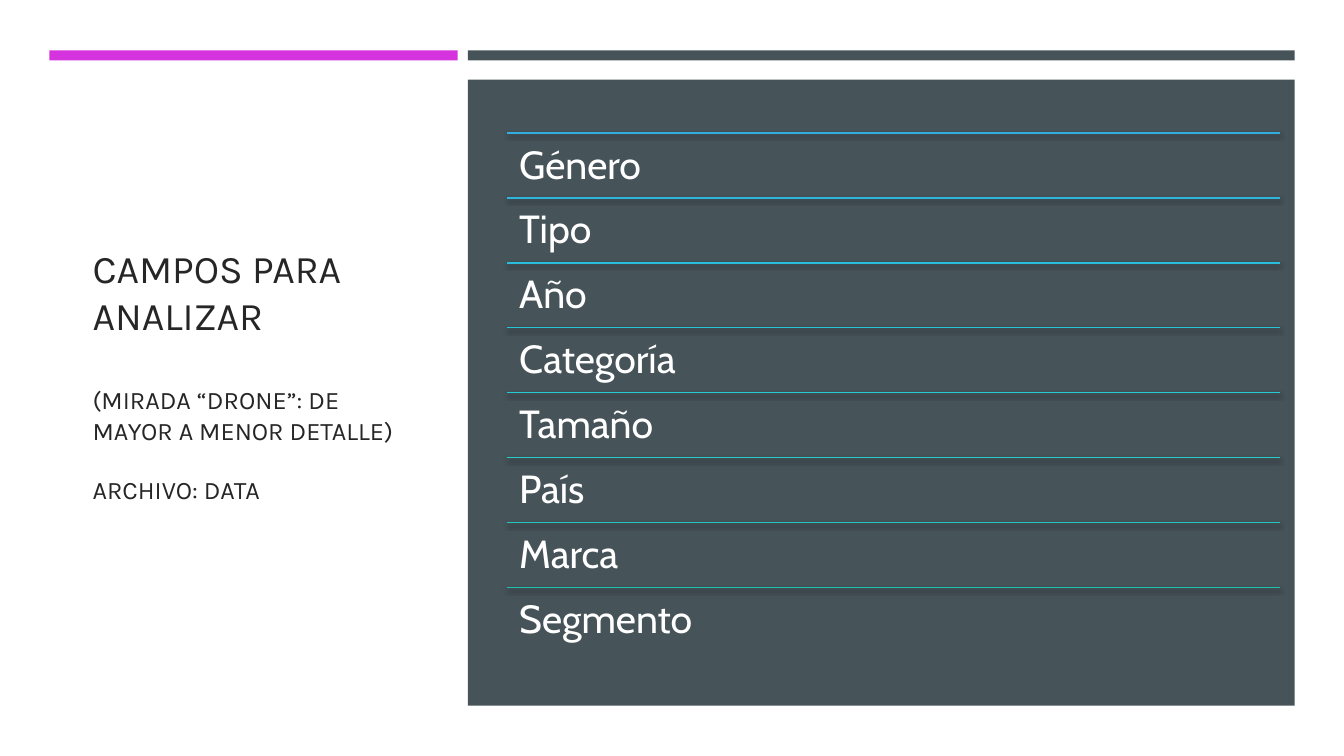
from lxml.etree import SubElement
from pptx import Presentation
from pptx.dml.color import RGBColor
from pptx.enum.shapes import MSO_CONNECTOR as Connector, MSO_SHAPE as Shape
from pptx.enum.text import MSO_ANCHOR as Anchor
from pptx.oxml.ns import qn
from pptx.util import Inches, Pt

WHITE, SLATE, MAGENTA, INK = "FFFFFF", "465359", "D433DD", "262626"
FIELDS = [
    ("Género", "33ADDD"),
    ("Tipo", "2DB5DC"),
    ("Año", "28BEDB"),
    ("Categoría", "24C6D8"),
    ("Tamaño", "23CBD3"),
    ("País", "22CDCA"),
    ("Marca", "21C8BB"),
    ("Segmento", "20C2AC"),
]
TITLE = [
    ("CAMPOS PARA ANALIZAR", 28, 0),
    ("(MIRADA “DRONE”: DE MAYOR A MENOR DETALLE)", 18, 33),
    ("ARCHIVO: DATA", 18, 21),
]
LIST_LEFT, LIST_TOP, LIST_WIDTH = 5.03, 1.32, 7.67
ROW_HEIGHT = 0.644


def rgb(color):
    return RGBColor.from_string(color)


def add_panel(slide, left, top, width, height, color):
    panel = slide.shapes.add_shape(
        Shape.RECTANGLE, Inches(left), Inches(top), Inches(width), Inches(height))
    panel.shadow.inherit = False
    panel.fill.solid()
    panel.fill.fore_color.rgb = rgb(color)
    panel.line.fill.background()


def add_text_frame(slide, left, top, width, height):
    frame = slide.shapes.add_textbox(
        Inches(left), Inches(top), Inches(width), Inches(height)).text_frame
    frame.word_wrap = True
    return frame


def set_font(paragraph, name, size, color):
    paragraph.font.name = name
    paragraph.font.size = Pt(size)
    paragraph.font.color.rgb = rgb(color)


def add_title(slide):
    frame = add_text_frame(slide, 0.82, 1.14, 3.34, 5.15)
    frame.vertical_anchor = Anchor.MIDDLE
    for index, (text, size, gap) in enumerate(TITLE):
        paragraph = frame.add_paragraph() if index else frame.paragraphs[0]
        paragraph.text = text
        paragraph.space_before = Pt(gap)
        set_font(paragraph, "Karla", size, INK)


def add_divider(slide, top, color):
    divider = slide.shapes.add_connector(
        Connector.STRAIGHT, Inches(LIST_LEFT), Inches(top),
        Inches(LIST_LEFT + LIST_WIDTH), Inches(top))
    divider.line.color.rgb = rgb(color)
    divider.line.width = Pt(1)
    effects = SubElement(divider.element.spPr, qn("a:effectLst"))
    shadow = SubElement(effects, qn("a:outerShdw"), blurRad=str(Pt(3)),
                        dist=str(Pt(2)), dir="5400000", rotWithShape="0")
    tint = SubElement(shadow, qn("a:srgbClr"), val="000000")
    SubElement(tint, qn("a:alpha"), val="55000")


def add_field(slide, top, label):
    frame = add_text_frame(slide, LIST_LEFT, top, LIST_WIDTH, ROW_HEIGHT)
    frame.margin_left = frame.margin_right = Inches(0.12)
    frame.margin_top = frame.margin_bottom = Inches(0.12)
    paragraph = frame.paragraphs[0]
    paragraph.text = label
    paragraph.line_spacing = 0.9
    set_font(paragraph, "Cabin", 28, WHITE)


def main():
    deck = Presentation()
    deck.slide_width, deck.slide_height = Inches(13.33), Inches(7.5)
    slide = deck.slides.add_slide(deck.slide_layouts[6])
    add_panel(slide, 0, 0, 13.33, 7.5, WHITE)
    add_title(slide)
    add_panel(slide, 0.49, 0.5, 4.05, 0.1, MAGENTA)
    add_panel(slide, 4.64, 0.5, 8.2, 0.1, SLATE)
    add_panel(slide, 4.64, 0.79, 8.2, 6.21, SLATE)
    for row, (label, color) in enumerate(FIELDS):
        top = LIST_TOP + row * ROW_HEIGHT
        add_divider(slide, top, color)
        add_field(slide, top, label)
    deck.save("out.pptx")


if __name__ == "__main__":
    main()
